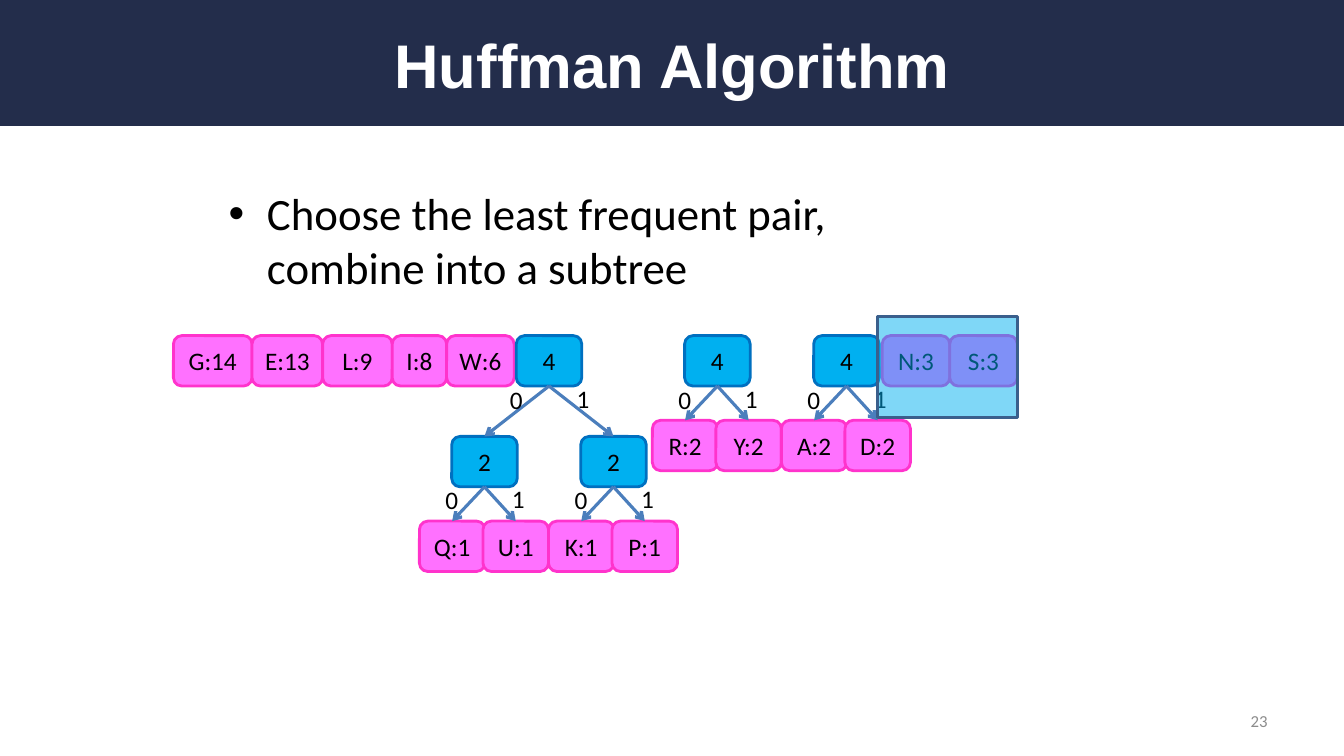
import dataclasses

import pptx
import pptx.dml.color
import pptx.enum.shapes
import pptx.enum.text
import pptx.oxml
import pptx.oxml.ns
import pptx.util

SHAPE = pptx.enum.shapes.MSO_SHAPE
ALIGN = pptx.enum.text.PP_ALIGN
ANCHOR = pptx.enum.text.MSO_ANCHOR
BOTTOM, TOP = 2, 0  # connection sites of a rectangle
PX = 9144  # EMU per px, 100 px to the inch


@dataclasses.dataclass(frozen=True)
class Theme:
    banner: str = "232D4B"
    white: str = "FFFFFF"
    ink: str = "000000"
    muted: str = "8C8C8C"
    leaf: tuple = ("FF71FF", "FF33CC")
    inner: tuple = ("00B0F0", "0070C0")
    highlight: tuple = ("00B0F0", "3A5F8C")
    edge: str = "4B7EBC"
    heading_font: str = "Arial"
    body_font: str = "Calibri"
    title_size: int = 44
    body_size: int = 32
    node_size: int = 18
    number_size: int = 12
    outline: float = 2
    edge_width: float = 2.25


THEME = Theme()

NODE_WIDTH, NODE_HEIGHT = 65, 50
ROW_TOP = 333
# Offsets from a parent node: left child, right child, drop
LEAF_STEP = (-32, 31, 84)
SUBTREE_STEP = (-64, 64, 100)
BIT_OFFSETS = {"0": (-16, 43), "1": (50, 42)}

# Runs of single leaves: left edge, then text and width of each
LEAF_RUNS = [
    (172, [("G:14", 78), ("E:13", 70), ("L:9", 69), ("I:8", 54), ("W:6", 67)]),
    (875, [("N:3", 67), ("S:3", 67)]),
]
# Trees: left edge of the root, then (weight, left child, right child)
TREES = [
    (512, ("4", ("2", "Q:1", "U:1"), ("2", "K:1", "P:1"))),
    (679, ("4", "R:2", "Y:2")),
    (807, ("4", "A:2", "D:2")),
]


def px(*lengths):
    return [pptx.util.Emu(length * PX) for length in lengths]


def rgb(colour):
    return pptx.dml.color.RGBColor.from_string(colour)


def apply(target, formats):
    for name, value in formats.items():
        setattr(target, name, value)


def write(box, text, size, colour=THEME.ink, font=THEME.body_font, bold=False,
          align=ALIGN.CENTER, anchor=ANCHOR.MIDDLE, wrap=True):
    apply(box.text_frame, {"word_wrap": wrap, "vertical_anchor": anchor})
    para = box.text_frame.paragraphs[0]
    para.alignment = align
    span = para.add_run()
    span.text = text
    apply(span.font, {"name": font, "size": pptx.util.Pt(size), "bold": bold})
    span.font.color.rgb = rgb(colour)
    return para


def add_text(page, bounds, text, size, **style):
    box = page.shapes.add_textbox(*px(*bounds))
    return write(box, text, size, **style)


def add_box(page, kind, bounds, fill, line=None):
    box = page.shapes.add_shape(kind, *px(*bounds))
    box.shadow.inherit = False
    box.fill.solid()
    box.fill.fore_color.rgb = rgb(fill)
    if line:
        box.line.color.rgb = rgb(line)
        box.line.width = pptx.util.Pt(THEME.outline)
    else:
        box.line.fill.background()
    return box


def add_node(page, left, top, text, colours, width=NODE_WIDTH):
    bounds = (left, top, width, NODE_HEIGHT)
    node = add_box(page, SHAPE.ROUNDED_RECTANGLE, bounds, *colours)
    margins = ("margin_left", "margin_right", "margin_top", "margin_bottom")
    apply(node.text_frame, dict.fromkeys(margins, 0))
    write(node, text, THEME.node_size)
    return node


def add_edge(page, parent, child):
    edge = page.shapes.add_connector(
        pptx.enum.shapes.MSO_CONNECTOR.STRAIGHT, 0, 0, 0, 0)
    edge.begin_connect(parent, BOTTOM)
    edge.end_connect(child, TOP)
    edge.line.color.rgb = rgb(THEME.edge)
    edge.line.width = pptx.util.Pt(THEME.edge_width)
    head = pptx.oxml.ns.qn("a:tailEnd")
    edge.line._get_or_add_ln().append(
        pptx.oxml.xmlchemy.OxmlElement("a:tailEnd"))
    edge.line._get_or_add_ln().find(head).set("type", "arrow")
    edge._element.spPr.append(pptx.oxml.xmlchemy.OxmlElement("a:effectLst"))


def add_tree(page, left, top, tree):
    """Draw a leaf or a whole subtree and return its root node."""
    if isinstance(tree, str):
        return add_node(page, left, top, tree, THEME.leaf)
    weight, *branches = tree
    step = LEAF_STEP if isinstance(branches[0], str) else SUBTREE_STEP
    children = [add_tree(page, left + shift, top + step[2], branch)
                for shift, branch in zip(step, branches)]
    root = add_node(page, left, top, weight, THEME.inner)
    for child in children:
        add_edge(page, root, child)
    for bit, (across, down) in BIT_OFFSETS.items():
        add_text(page, (left + across, top + down, 33, 40), bit,
                 THEME.node_size, align=ALIGN.LEFT, anchor=ANCHOR.TOP,
                 wrap=False)
    return root


def add_leaf_run(page, left, leaves):
    for text, width in leaves:
        add_node(page, left, ROW_TOP, text, THEME.leaf, width)
        left += width


def add_bullet(para):
    para.space_before = pptx.util.Pt(THEME.body_size * 0.2)
    indent, = px(38)
    properties = para._p.get_or_add_pPr()
    properties.set("marL", str(indent))
    properties.set("indent", str(-indent))
    for tag, key, value in (("a:buFont", "typeface", THEME.heading_font),
                            ("a:buChar", "char", "•")):
        mark = pptx.oxml.xmlchemy.OxmlElement(tag)
        mark.set(key, value)
        properties.append(mark)


def add_highlight(page):
    box = add_box(page, SHAPE.RECTANGLE, (870, 314, 139, 100),
                  *THEME.highlight)
    colour = box._element.spPr.find(".//" + pptx.oxml.ns.qn("a:srgbClr"))
    alpha = pptx.oxml.xmlchemy.OxmlElement("a:alpha")
    alpha.set("val", "50000")
    colour.append(alpha)


def main():
    deck = pptx.Presentation()
    deck.slide_width, deck.slide_height = px(1333, 750)
    page = deck.slides.add_slide(deck.slide_layouts[6])

    add_box(page, SHAPE.RECTANGLE, (0, 0, 1333, 125), THEME.banner)
    add_text(page, (67, 17, 1200, 92), "Huffman Algorithm", THEME.title_size,
             colour=THEME.white, font=THEME.heading_font, bold=True)
    add_bullet(add_text(
        page, (217, 175, 740, 125),
        "Choose the least frequent pair, combine into a subtree",
        THEME.body_size, align=ALIGN.LEFT))
    add_text(page, (956, 695, 311, 40), "23", THEME.number_size,
             colour=THEME.muted, align=ALIGN.RIGHT)

    for left, leaves in LEAF_RUNS:
        add_leaf_run(page, left, leaves)
    for left, tree in TREES:
        add_tree(page, left, ROW_TOP, tree)
    add_highlight(page)
    deck.save("out.pptx")


if __name__ == "__main__":
    main()
